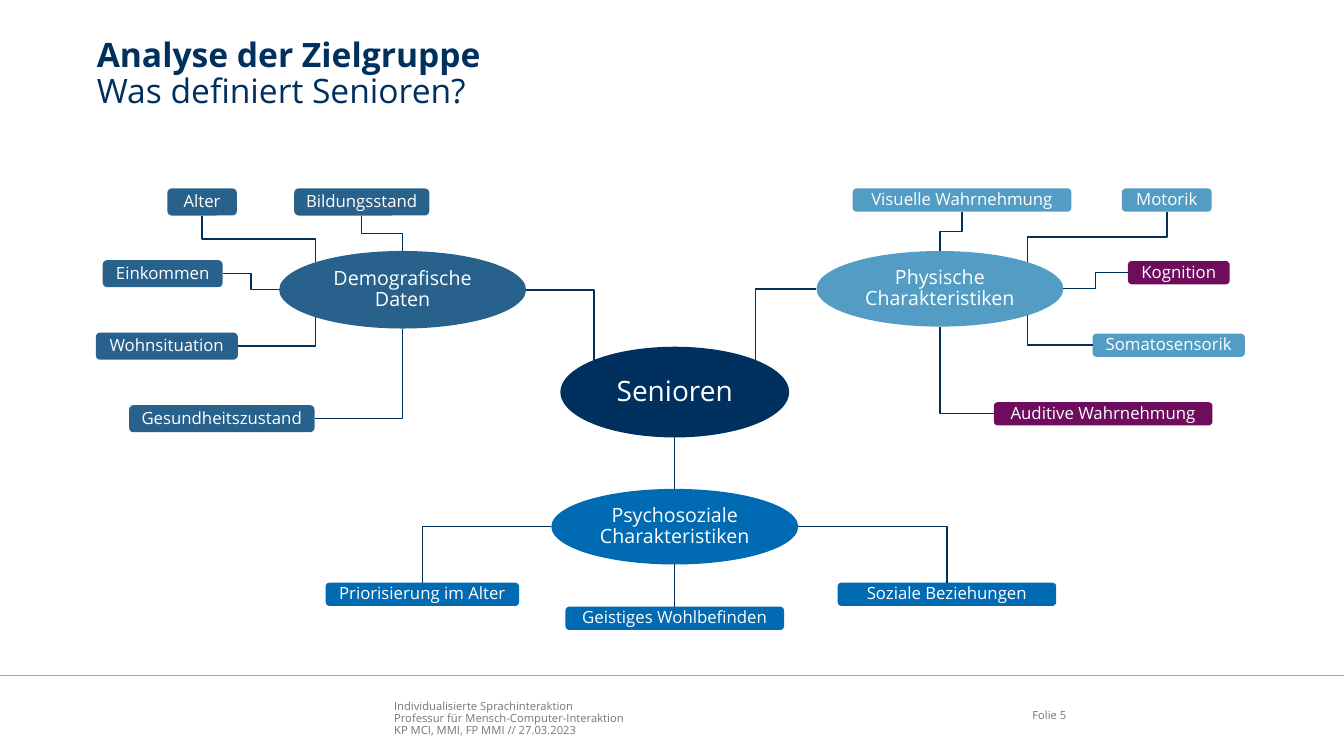
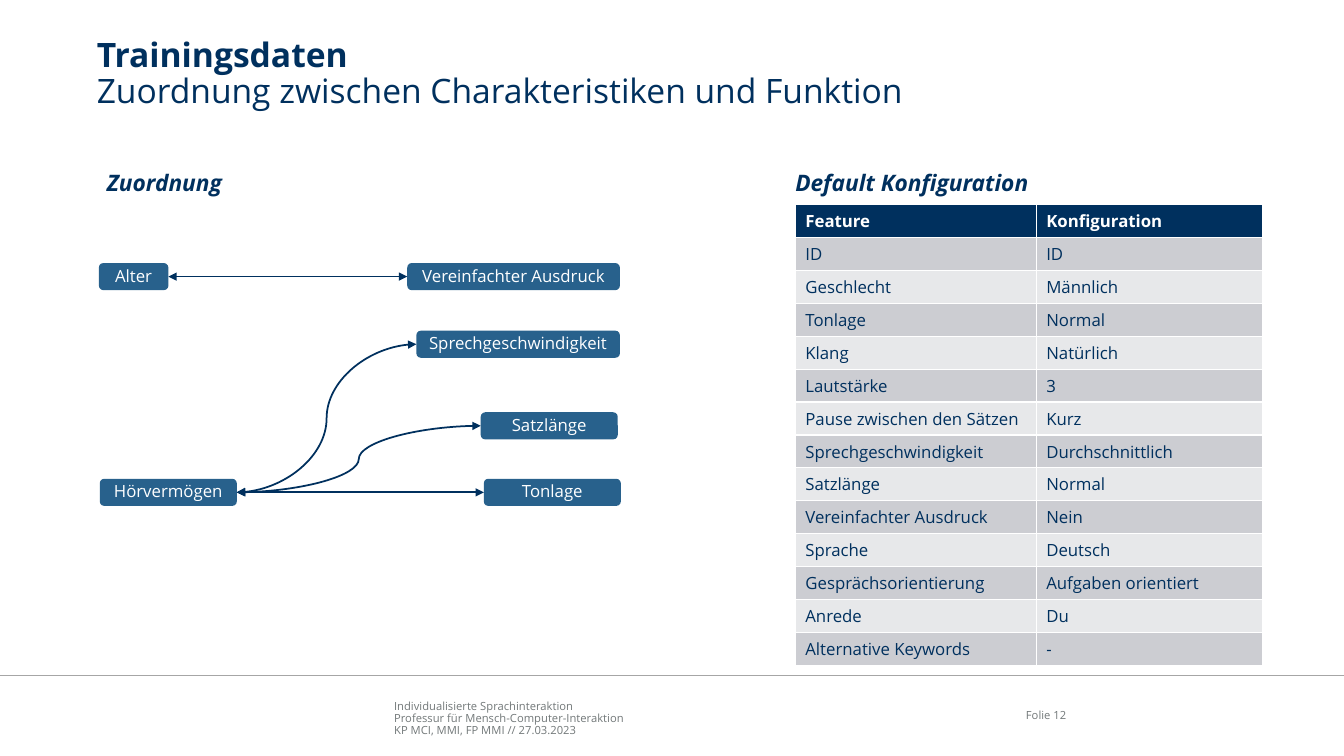
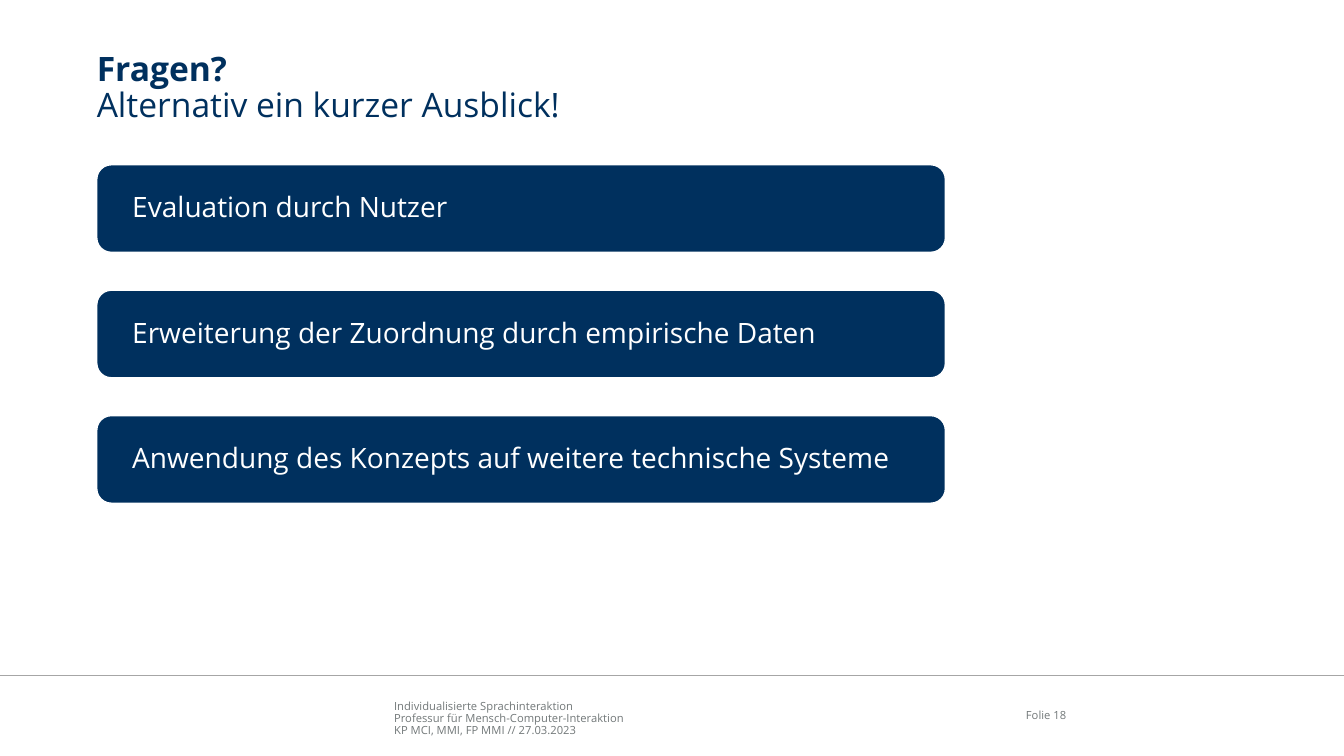
"""Build three slides on speech interaction for seniors: target group, training data, outlook."""
from math import sqrt

from lxml.etree import SubElement
from pptx import Presentation
from pptx.dml.color import RGBColor
from pptx.enum.shapes import MSO_CONNECTOR as LINK, MSO_SHAPE as SHAPE
from pptx.enum.text import MSO_ANCHOR as ANCHOR, MSO_AUTO_SIZE as AUTO, PP_ALIGN as ALIGN
from pptx.oxml.ns import qn
from pptx.util import Pt

FONT = "Open Sans"
COLORS = {"navy": "00305E", "steel": "28618C", "sky": "539DC5", "blue": "006AB3",
          "plum": "6E0C5E", "white": "FFFFFF", "grey": "727879", "rule": "A6A6A6",
          "band_dark": "CCCDD2", "band_light": "E7E8EA"}

FOOTER = ["Individualisierte Sprachinteraktion", "Professur für Mensch-Computer-Interaktion",
          "KP MCI, MMI, FP MMI // 27.03.2023"]

CENTRE = ("Senioren", (400.3, 247.7, 163.4, 64.8))
GROUPS = [
    {"name": "Demografische Daten", "color": "steel", "box": (199.4, 179.3, 176.4, 55.4),
     "to_centre": ("right", "top left"), "leaf_height": 19.4,
     "leaves": [("Alter", 119.5, 134.6, 49.7, "top left", "bottom"),
                ("Bildungsstand", 210.2, 134.6, 96.5, "top", "bottom"),
                ("Einkommen", 73.4, 185.8, 85.7, "left", "right"),
                ("Wohnsituation", 68.4, 237.6, 101.5, "bottom left", "right"),
                ("Gesundheitszustand", 92.2, 289.4, 132.5, "bottom", "right")]},
    {"name": "Physische Charakteristiken", "color": "sky", "box": (583.2, 179.3, 176.4, 54),
     "to_centre": ("left", "top right"), "leaf_height": 16.6,
     "leaves": [("Visuelle Wahrnehmung", 609.1, 134.6, 156.2, "top", "bottom"),
                ("Motorik", 801.4, 134.6, 64.1, "top right", "bottom"),
                ("Kognition", 805.7, 186.5, 72.7, "right", "left"),
                ("Somatosensorik", 780.5, 238.3, 108.7, "bottom right", "left"),
                ("Auditive Wahrnehmung", 709.9, 287.3, 156.2, "bottom", "left")]},
    {"name": "Psychosoziale Charakteristiken", "color": "blue", "box": (393.8, 349.2, 176.4, 54),
     "to_centre": ("top", "bottom"), "leaf_height": 16.6,
     "leaves": [("Priorisierung im Alter", 232.6, 416.2, 138.2, "left", "top"),
                ("Geistiges Wohlbefinden", 403.9, 433.4, 156.2, "bottom", "top"),
                ("Soziale Beziehungen", 598.3, 416.2, 156.2, "right", "top")]},
]
HIGHLIGHTED = {"Kognition", "Auditive Wahrnehmung"}

HEADINGS = [("Zuordnung", 69.1, 98), ("Default Konfiguration", 560.9, 183)]
TRAITS = {"Alter": (70.6, 187.9, 49.7), "Hörvermögen": (71.3, 342, 97.9)}
FUNCTIONS = {"Vereinfachter Ausdruck": (290.9, 187.9, 151.9),
             "Sprechgeschwindigkeit": (297.4, 236.2, 145.4),
             "Satzlänge": (343.4, 294.5, 97.9), "Tonlage": (345.6, 342, 97.9)}
MAPPING = [("Alter", "Vereinfachter Ausdruck", LINK.STRAIGHT),
           ("Hörvermögen", "Sprechgeschwindigkeit", LINK.CURVE),
           ("Hörvermögen", "Satzlänge", LINK.CURVE),
           ("Hörvermögen", "Tonlage", LINK.STRAIGHT)]
SETTINGS = [("Feature", "Konfiguration"), ("ID", "ID"), ("Geschlecht", "Männlich"),
            ("Tonlage", "Normal"), ("Klang", "Natürlich"), ("Lautstärke", "3"),
            ("Pause zwischen den Sätzen", "Kurz"),
            ("Sprechgeschwindigkeit", "Durchschnittlich"), ("Satzlänge", "Normal"),
            ("Vereinfachter Ausdruck", "Nein"), ("Sprache", "Deutsch"),
            ("Gesprächsorientierung", "Aufgaben orientiert"), ("Anrede", "Du"),
            ("Alternative Keywords", "-")]
COLUMN_WIDTHS = (172.1, 162)
ROW_HEIGHT = 23.5

OUTLOOK = ["Evaluation durch Nutzer", "Erweiterung der Zuordnung durch empirische Daten",
           "Anwendung des Konzepts auf weitere technische Systeme"]


def rgb(color):
    return RGBColor.from_string(COLORS[color])


def write(paragraph, text, size, color, bold=False, italic=False):
    run = paragraph.add_run()
    run.text = text
    font = run.font
    font.name, font.size, font.bold, font.italic = FONT, Pt(size), bold, italic
    font.color.rgb = rgb(color)


def set_margins(frame, left=0, top=0, right=0, bottom=0):
    frame.margin_left, frame.margin_top = Pt(left), Pt(top)
    frame.margin_right, frame.margin_bottom = Pt(right), Pt(bottom)


def add_text(slide, lines, box, size, color, anchor, align=ALIGN.LEFT, wrap=True, **style):
    frame = slide.shapes.add_textbox(*map(Pt, box)).text_frame
    frame.word_wrap, frame.vertical_anchor = wrap, anchor
    set_margins(frame)
    for index, line in enumerate(lines):
        paragraph = frame.add_paragraph() if index else frame.paragraphs[0]
        paragraph.alignment, paragraph.line_spacing = align, 0.9
        write(paragraph, line, size, color, **style)


def add_node(slide, kind, box, text, size, fill, align=ALIGN.CENTER):
    node = slide.shapes.add_shape(kind, *map(Pt, box))
    node.shadow.inherit = False
    node.fill.solid()
    node.fill.fore_color.rgb = rgb(fill)
    node.line.fill.background()
    frame = node.text_frame
    frame.word_wrap, frame.vertical_anchor = True, ANCHOR.MIDDLE
    if kind == SHAPE.ROUNDED_RECTANGLE:
        set_margins(frame)
    paragraph = frame.paragraphs[0]
    paragraph.alignment, paragraph.line_spacing = align, 0.9
    write(paragraph, text, size, "white")
    return node


def add_link(slide, kind, start, end, color="navy", width=1.0, arrows=False):
    link = slide.shapes.add_connector(kind, *map(Pt, (*start, *end)))
    link.line.color.rgb = rgb(color)
    link.line.width = Pt(width)
    properties = link._element.spPr
    if arrows:
        for tip in ("a:headEnd", "a:tailEnd"):
            SubElement(properties.find(qn("a:ln")), qn(tip), type="triangle")
    SubElement(properties, qn("a:effectLst"))
    return link


def site(box, side, ellipse=True):
    left, top, width, height = box
    dx = ("right" in side) - ("left" in side)
    dy = ("bottom" in side) - ("top" in side)
    reach = sqrt(0.5) if ellipse and dx and dy else 1
    return left + width / 2 * (1 + dx * reach), top + height / 2 * (1 + dy * reach)


def add_elbow(slide, start, start_side, end, end_side):
    upright = [side not in ("left", "right") for side in (start_side, end_side)]
    if all(upright):
        (x1, y1), (x2, y2) = sorted((start, end), key=lambda point: point[1])
        x, y, half_run, half_drop = (x1 + x2) / 2, (y1 + y2) / 2, (x2 - x1) / 2, (y2 - y1) / 2
        link = add_link(slide, LINK.ELBOW, (x - half_drop, y + half_run),
                        (x + half_drop, y - half_run))
        link._element.spPr.find(qn("a:xfrm")).set("rot", "5400000")
    elif any(upright):
        level, steep = (end, start) if upright[0] else (start, end)
        link = add_link(slide, LINK.ELBOW, level, steep)
        link._element.spPr.find(qn("a:prstGeom")).set("prst", "bentConnector2")
    else:
        add_link(slide, LINK.ELBOW, start, end)


def decorate_layout(slide):
    add_text(slide, FOOTER, (281.5, 497.5, 408, 28.8), 8, "grey", ANCHOR.BOTTOM)
    add_link(slide, LINK.STRAIGHT, (0, 482.4), (960, 482.4), "rule")
    for shape in list(slide.shapes)[-2:]:
        slide.slide_layout.shapes._spTree.append(shape._element)


def add_slide(deck, topic, subtitle, number, top=27.4):
    slide = deck.slides.add_slide(deck.slide_layouts[5])
    title = slide.shapes.title
    title.left, title.top, title.width, title.height = map(Pt, (69.1, top, 833, 54))
    frame = title.text_frame
    frame.auto_size, frame.vertical_anchor = AUTO.NONE, ANCHOR.TOP
    set_margins(frame)
    paragraph = frame.paragraphs[0]
    paragraph.alignment, paragraph.line_spacing = ALIGN.LEFT, 0.9
    write(paragraph, topic, 24, "navy", bold=True)
    paragraph.add_line_break()
    write(paragraph, subtitle, 24, "navy")
    add_text(slide, [f"Folie {number}"], (706.3, 504, 55.4, 15), 8, "grey",
             ANCHOR.MIDDLE, ALIGN.RIGHT)
    return slide


def draw_target_group(slide):
    centre_name, centre_box = CENTRE
    add_node(slide, SHAPE.OVAL, centre_box, centre_name, 20, "navy")
    for group in GROUPS:
        box, color = group["box"], group["color"]
        hub = add_node(slide, SHAPE.OVAL, box, group["name"], 14, color)
        hub_side, centre_side = group["to_centre"]
        start, end = site(centre_box, centre_side), site(box, hub_side)
        if hub_side == "top":
            add_link(slide, LINK.STRAIGHT, start, end).end_connect(hub, 0)
        else:
            add_elbow(slide, end, hub_side, start, centre_side)
        for name, left, top, width, hub_side, leaf_side in group["leaves"]:
            leaf_box = (left, top, width, group["leaf_height"])
            fill = "plum" if name in HIGHLIGHTED else color
            leaf = add_node(slide, SHAPE.ROUNDED_RECTANGLE, leaf_box, name, 12, fill)
            start, end = site(box, hub_side), site(leaf_box, leaf_side, ellipse=False)
            if abs(start[0] - end[0]) < 1:
                add_link(slide, LINK.STRAIGHT, start, end).end_connect(leaf, 0)
            else:
                add_elbow(slide, start, hub_side, end, leaf_side)


def draw_settings(slide):
    table = slide.shapes.add_table(len(SETTINGS), 2, Pt(568.1), Pt(146.2), Pt(sum(COLUMN_WIDTHS)),
                                   Pt(ROW_HEIGHT * len(SETTINGS))).table
    for column, width in zip(table.columns, COLUMN_WIDTHS):
        column.width = Pt(width)
    for row, texts in enumerate(SETTINGS):
        fill = "band_dark" if row % 2 else "band_light"
        for column, text in enumerate(texts):
            cell = table.cell(row, column)
            cell.fill.solid()
            cell.fill.fore_color.rgb = rgb(fill if row else "navy")
            write(cell.text_frame.paragraphs[0], text, 12, "navy" if row else "white",
                  bold=row == 0)


def draw_training_data(slide):
    for heading, left, width in HEADINGS:
        add_text(slide, [heading], (left + 7.2, 118.1, width, 26.6), 16.2, "navy",
                 ANCHOR.MIDDLE, wrap=False, bold=True, italic=True)
    draw_settings(slide)
    nodes = {name: add_node(slide, SHAPE.ROUNDED_RECTANGLE, (*box, 19.4), name, 12, "steel")
             for name, box in {**TRAITS, **FUNCTIONS}.items()}
    for trait, function, kind in MAPPING:
        link = add_link(slide, kind, (0, 0), (0, 0), width=1.25, arrows=True)
        link.begin_connect(nodes[trait], 3)
        link.end_connect(nodes[function], 1)


def draw_outlook(slide):
    for index, text in enumerate(OUTLOOK):
        bar = add_node(slide, SHAPE.ROUNDED_RECTANGLE, (69.1, 117.7 + 89.6 * index, 606.2, 62.6),
                       text, 20, "navy", ALIGN.LEFT)
        bar.line.color.rgb = rgb("white")
        bar.line.width = Pt(1)
        bar.text_frame.margin_left = Pt(22.3)


def main():
    deck = Presentation()
    deck.slide_width, deck.slide_height = Pt(960), Pt(540)
    target_group = add_slide(deck, "Analyse der Zielgruppe", "Was definiert Senioren?", 5)
    decorate_layout(target_group)
    draw_target_group(target_group)
    draw_training_data(add_slide(deck, "Trainingsdaten",
                                 "Zuordnung zwischen Charakteristiken und Funktion", 12))
    draw_outlook(add_slide(deck, "Fragen?", "Alternativ ein kurzer Ausblick!", 18, top=37.4))
    deck.save("out.pptx")


if __name__ == "__main__":
    main()
